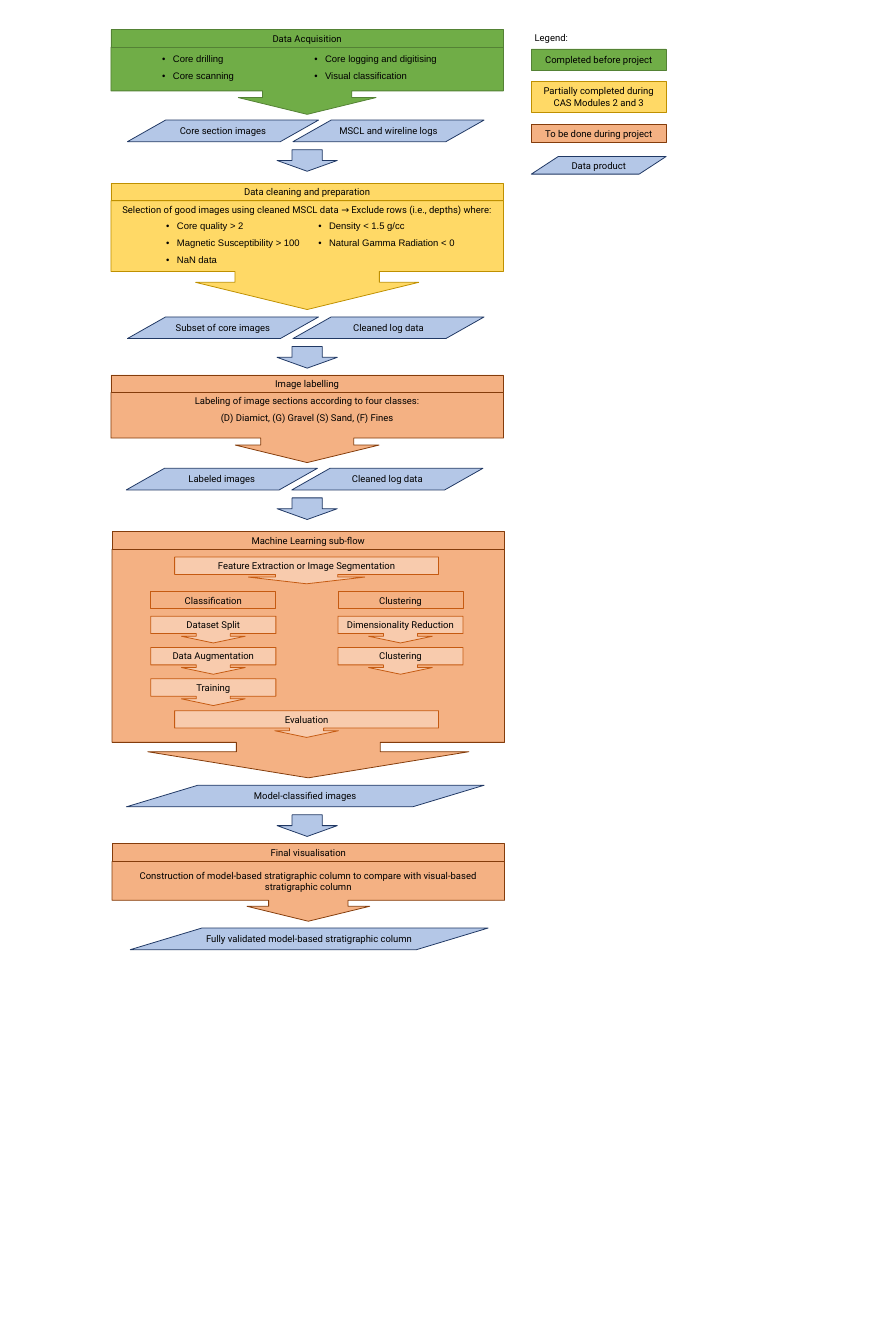
"""Draw the core image workflow from data acquisition to final visualisation."""
from lxml import etree
from pptx import Presentation
from pptx.dml.color import RGBColor
from pptx.enum.shapes import MSO_SHAPE
from pptx.enum.text import MSO_ANCHOR, PP_ALIGN
from pptx.oxml.ns import qn
from pptx.util import Inches, Pt

RECT = MSO_SHAPE.RECTANGLE
CALLOUT = MSO_SHAPE.DOWN_ARROW_CALLOUT
DATA = MSO_SHAPE.FLOWCHART_DATA
ARROW = MSO_SHAPE.DOWN_ARROW
TOP, MIDDLE = MSO_ANCHOR.TOP, MSO_ANCHOR.MIDDLE
CENTER, LEFT = PP_ALIGN.CENTER, PP_ALIGN.LEFT

GREEN = ("70AD47", "548235")
YELLOW = ("FFD966", "BF9000")
ORANGE = ("F4B183", "843C0B")
PEACH = ("F8CBAD", "C55A11")
CLEAR = (None, "C55A11")
BLUE = ("B4C7E7", "203864")
PLAIN_GRID = "{2D5ABB26-0587-4C30-8999-92F81FD0307C}"

HEAD = 0.31
ROW = 0.3
STAGE_W = 6.9
STEP_W, STEP_H = 2.2, 0.47
WIDE_X, WIDE_W = 3.07, 4.64
DATA_W, DATA_H, DATA_STEP = 3.36, 0.38, 2.91
WIDE_DATA = 6.29
KEY_X, KEY_W = 9.34, 2.37
STAGE_ADJ = (1.329, 1.027, 0.25, 0.65)
STEP_ADJ = (1.273, 1.192, 0.25, 0.65)

prs = Presentation()
prs.slide_width, prs.slide_height = Inches(15.75), Inches(23.62)
slide = prs.slides.add_slide(prs.slide_layouts[6])


def write(frame, text, font="Roboto", align=CENTER):
    frame.text = text
    for par in frame.paragraphs:
        par.alignment = align
        for run in par.runs:
            run.font.size, run.font.name = Pt(12), font
            run.font.color.rgb = RGBColor.from_string("000000")


def draw(kind, box, style, text="", adj=(), anchor=MIDDLE, pad=0.04):
    shape = slide.shapes.add_shape(kind, *map(Inches, box))
    shape.shadow.inherit = False
    fill, line = style
    if fill:
        shape.fill.solid()
        shape.fill.fore_color.rgb = RGBColor.from_string(fill)
    else:
        shape.fill.background()
    shape.line.color.rgb = RGBColor.from_string(line)
    shape.line.width = Pt(1)
    for i, value in enumerate(adj):
        shape.adjustments[i] = value
    frame = shape.text_frame
    frame.word_wrap, frame.vertical_anchor = True, anchor
    frame.margin_left = frame.margin_right = Inches(pad)
    frame.margin_top = frame.margin_bottom = Inches(0.05 if anchor == TOP else 0)
    if text:
        write(frame, text)
        for par in frame.paragraphs[1:]:
            par.space_before = Pt(7)


stages = [
    (1.95, 0.52, 1.18, STAGE_ADJ, GREEN, TOP, "Data Acquisition", ""),
    (1.95, 3.22, 1.91, STAGE_ADJ, YELLOW, TOP, "Data cleaning and preparation",
     "Selection of good images using cleaned MSCL data → Exclude rows (i.e., depths) where:"),
    (1.95, 6.59, 1.23, STAGE_ADJ, ORANGE, TOP, "Image labelling",
     "Labeling of image sections according to four classes:\n"
     "(D) Diamict, (G) Gravel (S) Sand, (F) Fines"),
    (1.97, 9.34, 4.02, (0.629, 0.702, 0.114, 0.845), ORANGE, TOP,
     "Machine Learning sub-flow", ""),
    (1.97, 14.83, 1.05, STAGE_ADJ, ORANGE, MIDDLE, "Final visualisation",
     "Construction of model-based stratigraphic column to compare with "
     "visual-based stratigraphic column"),
]
for x, y, h, adj, style, anchor, title, body in stages:
    draw(CALLOUT, (x, y + HEAD, STAGE_W, h), style, body, adj, anchor, 0.1)
    draw(RECT, (x, y, STAGE_W, HEAD), style, title)

products = [
    (2.24, 2.11, ["Core section images", "MSCL and wireline logs"]),
    (2.24, 5.57, ["Subset of core images", "Cleaned log data"]),
    (2.22, 8.23, ["Labeled images", "Cleaned log data"]),
    (2.22, 13.8, ["Model-classified images"]),
    (2.29, 16.31, ["Fully validated model-based stratigraphic column"]),
]
for x, y, names in products:
    w = DATA_W if len(names) > 1 else WIDE_DATA
    for i, name in enumerate(names):
        draw(DATA, (x + i * DATA_STEP, y, w, DATA_H), BLUE, name)
for x, y, names in products[:-1]:
    draw(ARROW, (4.87, y + 0.52, 1.06, DATA_H), BLUE)

lists = [
    (2.75, 0.89, [("Core drilling", "Core logging and digitising"),
                  ("Core scanning", "Visual classification")]),
    (2.82, 3.83, [("Core quality > 2", "Density < 1.5 g/cc"),
                  ("Magnetic Susceptibility > 100", "Natural Gamma Radiation < 0"),
                  ("NaN data", "")]),
]
for x, y, rows in lists:
    size = map(Inches, (x, y, 5.35, ROW * len(rows)))
    table = slide.shapes.add_table(len(rows), 2, *size).table
    table.first_row = table.horz_banding = False
    table._tbl.tblPr.find(qn("a:tableStyleId")).text = PLAIN_GRID
    for r, row in enumerate(rows):
        for c, text in enumerate(row):
            cell = table.cell(r, c)
            cell.fill.background()
            cell.vertical_anchor = MIDDLE
            write(cell.text_frame, text, "Arial", LEFT)
            par = cell.text_frame.paragraphs[0]
            if not text:
                par.font.size = Pt(12)
                continue
            props = par._p.get_or_add_pPr()
            props.set("marL", str(Inches(0.19)))
            props.set("indent", str(-Inches(0.19)))
            etree.SubElement(props, qn("a:buFont")).set("typeface", "Arial")
            etree.SubElement(props, qn("a:buChar")).set("char", "•")

draw(CALLOUT, (WIDE_X, 9.79, WIDE_W, STEP_H), PEACH,
     "Feature Extraction or Image Segmentation", (2.328, 2.174, 0.25, 0.65))
draw(CALLOUT, (WIDE_X, 12.49, WIDE_W, STEP_H), PEACH, "Evaluation", STEP_ADJ)
tracks = [
    (2.65, "Classification", ["Dataset Split", "Data Augmentation", "Training"]),
    (5.94, "Clustering", ["Dimensionality Reduction", "Clustering"]),
]
for x, title, steps in tracks:
    draw(RECT, (x, 10.4, STEP_W, ROW), CLEAR, title)
    for i, step in enumerate(steps):
        draw(CALLOUT, (x, 10.83 + 0.55 * i, STEP_W, STEP_H), PEACH, step, STEP_ADJ)

legend = slide.shapes.add_textbox(*map(Inches, (9.3, 0.52, 2.47, ROW)))
legend.text_frame.word_wrap = True
write(legend.text_frame, "Legend:", align=LEFT)
keys = [
    (RECT, 0.86, 0.37, GREEN, "Completed before project"),
    (RECT, 1.43, 0.54, YELLOW, "Partially completed during CAS Modules 2 and 3"),
    (RECT, 2.19, 0.31, ORANGE, "To be done during project"),
    (DATA, 2.75, 0.31, BLUE, "Data product"),
]
for kind, y, h, style, text in keys:
    draw(kind, (KEY_X, y, KEY_W, h), style, text, pad=0.1)

prs.save("out.pptx")
